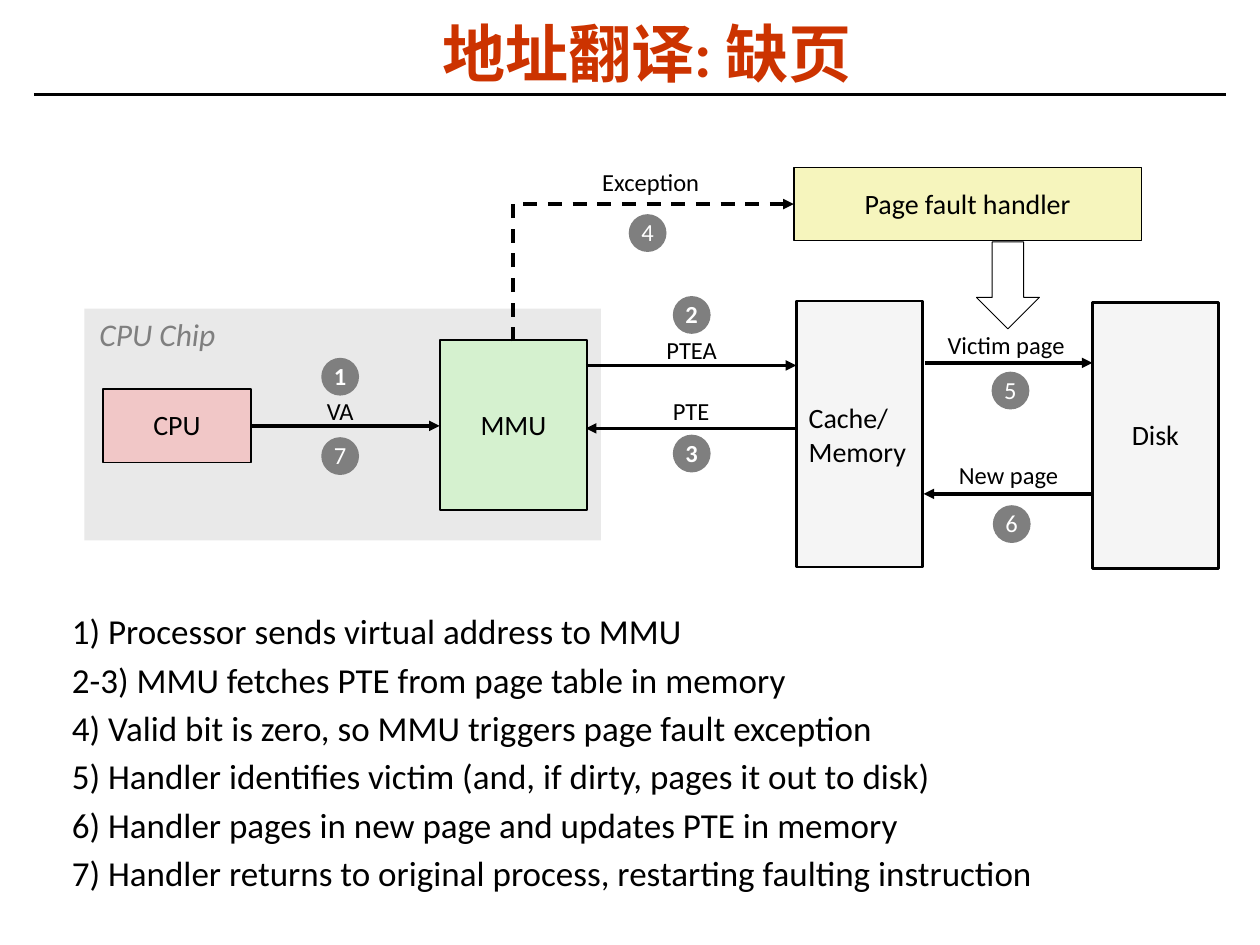
from pptx import Presentation
from pptx import util as u
from pptx.dml.color import RGBColor
from pptx.enum import dml, shapes, text
from pptx.oxml.ns import qn
from lxml import etree

LEFT, MID = text.PP_ALIGN.LEFT, text.PP_ALIGN.CENTER
TOP, HALF = text.MSO_ANCHOR.TOP, text.MSO_ANCHOR.MIDDLE
RECT, OVAL, DOWN = (shapes.MSO_SHAPE.RECTANGLE, shapes.MSO_SHAPE.OVAL,
                    shapes.MSO_SHAPE.DOWN_ARROW)
STEPS = [
    "1) Processor sends virtual address to MMU",
    "2-3) MMU fetches PTE from page table in memory",
    "4) Valid bit is zero, so MMU triggers page fault exception",
    "5) Handler identifies victim (and, if dirty, pages it out to disk)",
    "6) Handler pages in new page and updates PTE in memory",
    "7) Handler returns to original process, restarting faulting instruction",
]


def color(code):
    return RGBColor.from_string(code)


def write(frame, words, size, code="000000", align=MID, anchor=HALF,
          bold=False, italic=False, space=0.98, wrap=False, pad=(0.1, 0.05)):
    frame.text = words
    frame.word_wrap = wrap
    frame.vertical_anchor = anchor
    frame.margin_left = frame.margin_right = u.Inches(pad[0])
    frame.margin_top = frame.margin_bottom = u.Inches(pad[1])
    for para in frame.paragraphs:
        para.alignment = align
        para.line_spacing = space
        for run in para.runs:
            font = run.font
            font.name, font.size = "Calibri", u.Pt(size)
            font.bold, font.italic = bold, italic
            font.color.rgb = color(code)


def label(slide, words, x, y, w, h=0.33, size=14, **style):
    box = slide.shapes.add_textbox(*map(u.Inches, (x, y, w, h)))
    write(box.text_frame, words, size, **style)
    return box.text_frame


def block(slide, kind, x, y, w, h, fill=None, edge=0):
    item = slide.shapes.add_shape(kind, *map(u.Inches, (x, y, w, h)))
    item.shadow.inherit = False
    if fill:
        item.fill.solid()
        item.fill.fore_color.rgb = color(fill)
    else:
        item.fill.background()
    if edge:
        item.line.color.rgb = color("000000")
        item.line.width = u.Pt(edge)
    else:
        item.line.fill.background()
    return item


def node(slide, words, x, y, w, h, fill, edge=1, **style):
    item = block(slide, RECT, x, y, w, h, fill, edge)
    write(item.text_frame, words, 16, **style)


def badge(slide, digit, x, y, bold):
    item = block(slide, OVAL, x, y, 0.3, 0.3, "7F7F7F")
    write(item.text_frame, digit, 14, "FFFFFF", bold=bold)


def line(slide, x1, y1, x2, y2, width=2, head=True,
         kind=shapes.MSO_CONNECTOR.STRAIGHT):
    link = slide.shapes.add_connector(kind, *map(u.Inches, (x1, y1, x2, y2)))
    link.line.color.rgb = color("000000")
    link.line.width = u.Pt(width)
    props = link._element.spPr
    etree.SubElement(props, qn("a:effectLst"))
    if head:
        etree.SubElement(props.find(qn("a:ln")), qn("a:tailEnd"), type="triangle")
    return link


def bend(slide, x1, y1, x2, y2):
    mx, my = (x1 + x2) / 2, (y1 + y2) / 2
    dx, dy = (y1 - y2) / 2, (x2 - x1) / 2
    link = line(slide, mx + dx, my + dy, mx - dx, my - dy,
                kind=shapes.MSO_CONNECTOR.ELBOW)
    link.line.dash_style = dml.MSO_LINE.DASH
    props = link._element.spPr
    props.find(qn("a:xfrm")).set("rot", "5400000")
    props.find(qn("a:prstGeom")).set("prst", "bentConnector2")


def steps(slide):
    frame = label(slide, "\n".join(STEPS), 0.5, 4.92, 8.75, 2.38, 20, align=LEFT,
                  anchor=TOP, space=0.63, wrap=True, pad=(0.07, 0.03))
    for para in frame.paragraphs[1:]:
        para.space_before = u.Pt(12.5)


def main():
    deck = Presentation()
    deck.slide_width, deck.slide_height = u.Inches(10), u.Inches(7.5)
    slide = deck.slides.add_slide(deck.slide_layouts[6])

    line(slide, 0.27, 0.75, 9.73, 0.75, 1.5, head=False)
    block(slide, RECT, 0.67, 2.45, 4.1, 1.84, "E9E9E9")
    label(slide, "地址翻译: 缺页", 0.37, 0.17, 9.53, 0.86, 36, code="CC3300",
          anchor=TOP, bold=True, space=0.87, wrap=True, pad=(0.07, 0.03))
    steps(slide)

    node(slide, "MMU", 3.49, 2.7, 1.17, 1.35, "D5F1CF")
    node(slide, "Cache/\nMemory", 6.32, 2.39, 1, 2.11, "F5F5F5", 1.5,
         align=LEFT, space=1.0)
    node(slide, "CPU", 0.82, 3.09, 1.17, 0.58, "F1C7C7")
    node(slide, "Disk", 8.67, 2.4, 1, 2.11, "F5F5F5", 1.5)
    node(slide, "Page fault handler", 6.3, 1.33, 2.76, 0.58, "F6F5BD")
    block(slide, DOWN, 7.75, 1.92, 0.5, 0.69, edge=0.5)

    for ends in [(1.99, 3.38, 3.49, 3.38), (4.65, 2.9, 6.32, 2.9),
                 (6.32, 3.4, 4.65, 3.4), (7.34, 2.88, 8.67, 2.88),
                 (8.67, 3.92, 7.33, 3.92)]:
        line(slide, *ends)
    bend(slide, 4.07, 2.71, 6.3, 1.62)

    label(slide, "CPU Chip", 0.69, 2.45, 1.12, 0.4, 18, code="7F7F7F",
          align=LEFT, anchor=TOP, italic=True, space=1.0)
    for words, x, y, w in [("VA", 2.49, 3.1, 0.42), ("PTEA", 5.19, 2.62, 0.6),
                           ("PTE", 5.24, 3.1, 0.49),
                           ("Victim page", 7.42, 2.58, 1.13),
                           ("New page", 7.51, 3.61, 0.99),
                           ("Exception", 4.68, 1.29, 0.97)]:
        label(slide, words, x, y, w)

    spots = [(2.55, 2.84), (5.34, 2.35), (5.34, 3.45), (4.99, 1.7),
             (7.87, 2.95), (7.88, 4.01), (2.55, 3.47)]
    for count, (x, y) in enumerate(spots, 1):
        badge(slide, str(count), x, y, bold=count < 4)

    deck.save("out.pptx")


if __name__ == "__main__":
    main()
